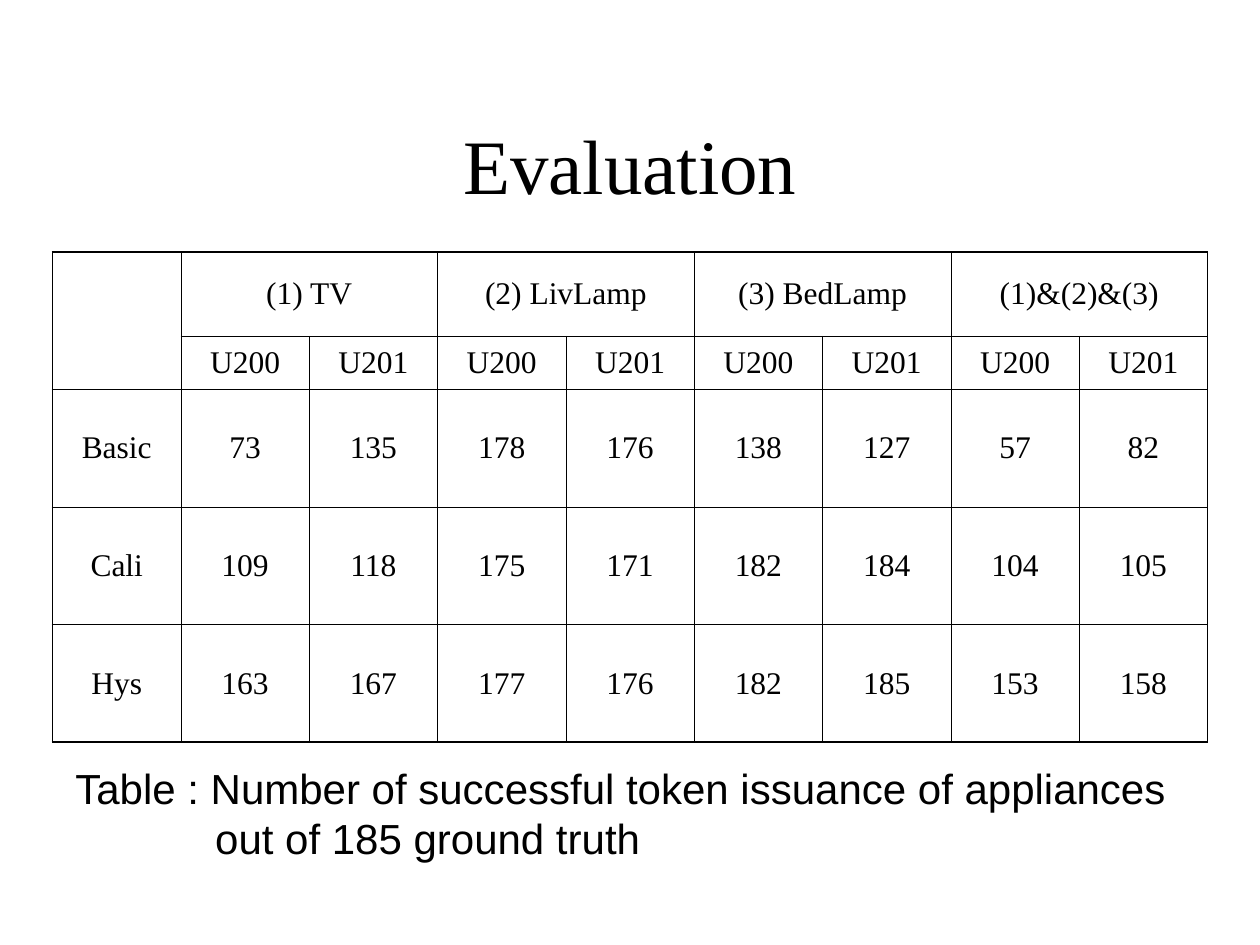
from lxml.etree import SubElement
from pptx import Presentation
from pptx.dml.color import RGBColor
from pptx.enum.text import MSO_ANCHOR, MSO_AUTO_SIZE, PP_ALIGN
from pptx.oxml.ns import qn
from pptx.util import Cm, Pt

BLACK = "000000"
SERIF = "Times New Roman"
GROUPS = ["(1) TV", "(2) LivLamp", "(3) BedLamp", "(1)&(2)&(3)"]
USERS = ["U200", "U201"]
SCORES = {
    "Basic": [73, 135, 178, 176, 138, 127, 57, 82],
    "Cali": [109, 118, 175, 171, 182, 184, 104, 105],
    "Hys": [163, 167, 177, 176, 182, 185, 153, 158],
}


def paint(font, color):
    """Set a font's colour from a hex string."""
    font.color.rgb = RGBColor.from_string(color)


def write(para, text, size, face):
    """Add one formatted run to a paragraph."""
    run = para.add_run()
    run.text = text
    run.font.size = Pt(size)
    run.font.name = face
    paint(run.font, BLACK)


def border(cell, sides):
    """Draw the sides of a cell, given as tag and width in points."""
    props = cell._tc.get_or_add_tcPr()
    for tag, width in sides.items():
        line = SubElement(props, qn(f"a:{tag}"), w=str(Pt(width)))
        fill = SubElement(line, qn("a:solidFill"))
        SubElement(fill, qn("a:srgbClr"), val=BLACK)


def add_title(slide, left, top, width, height):
    """Place the slide title in its box."""
    title = slide.shapes.title
    title.left, title.top, title.width, title.height = left, top, width, height
    frame = title.text_frame
    frame.vertical_anchor = MSO_ANCHOR.MIDDLE
    para = frame.paragraphs[0]
    para.alignment = PP_ALIGN.CENTER
    write(para, "Evaluation", 44, SERIF)


def add_scores(slide, left, top, width, heights):
    """Place the table of scores, with paired columns under each group."""
    rows = [
        [""] + [text for name in GROUPS for text in (name, "")],
        [""] + USERS * len(GROUPS),
        *([name, *map(str, vals)] for name, vals in SCORES.items()),
    ]
    down, across = len(rows), len(rows[0])
    table = slide.shapes.add_table(down, across, left, top, width, sum(heights)).table
    table.first_row = table.horz_banding = False
    for row, height in zip(table.rows, heights):
        row.height = height
    for y, row in enumerate(rows):
        for x, text in enumerate(row):
            cell = table.cell(y, x)
            edges = {"lnL": x == 0, "lnR": x == across - 1,
                     "lnT": y == 0, "lnB": y == down - 1}
            border(cell, {tag: 1.08 if outer else 0.45 for tag, outer in edges.items()})
            cell.fill.background()
            cell.vertical_anchor = MSO_ANCHOR.MIDDLE
            if text:
                para = cell.text_frame.paragraphs[0]
                para.alignment = PP_ALIGN.CENTER
                para.space_before = Pt(4.5)
                write(para, text, 18, SERIF)
    table.cell(0, 0).merge(table.cell(1, 0))
    for x in range(1, across, len(USERS)):
        table.cell(0, x).merge(table.cell(0, x + 1))


def add_caption(slide, left, top, width, height):
    """Place the two-line caption, its second line indented."""
    frame = slide.shapes.add_textbox(left, top, width, height).text_frame
    frame.word_wrap = False
    frame.auto_size = MSO_AUTO_SIZE.SHAPE_TO_FIT_TEXT
    write(frame.paragraphs[0],
          "Table : Number of successful token issuance of appliances", 24, "Arial")
    para = frame.add_paragraph()
    para._p.get_or_add_pPr().set("marL", str(Cm(2.82)))
    write(para, "out of 185 ground truth", 24, "Arial")


def main():
    """Build the slide and save it."""
    deck = Presentation()
    deck.slide_width, deck.slide_height = Cm(25.4), Cm(19.05)
    slide = deck.slides.add_slide(deck.slide_layouts[5])
    add_title(slide, Cm(1.9), Cm(1.7), Cm(21.6), Cm(3.18))
    heights = [Cm(1.7), Cm(1.07)] + [Cm(2.37)] * len(SCORES)
    add_scores(slide, Cm(1.06), Cm(5.08), Cm(23.29), heights)
    add_caption(slide, Cm(1.27), Cm(15.24), Cm(22.58), Cm(2.29))
    deck.save("out.pptx")


if __name__ == "__main__":
    main()
